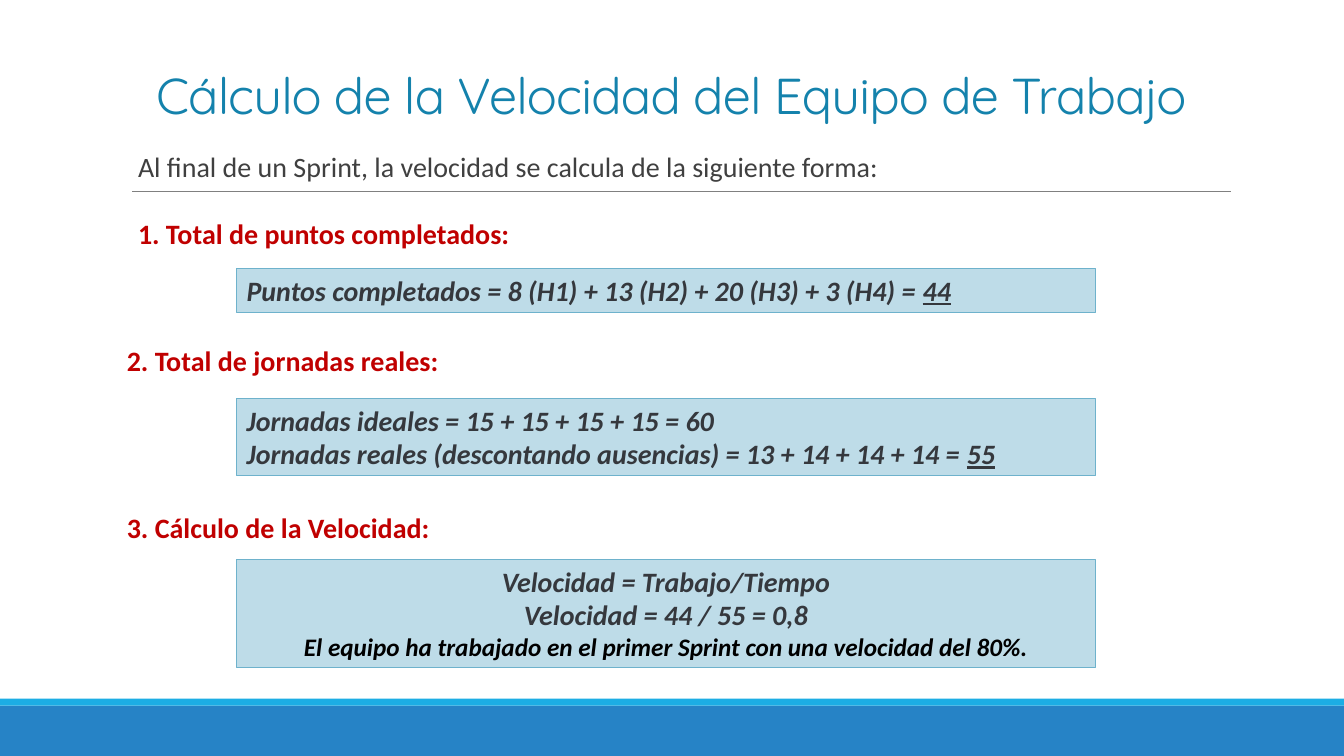
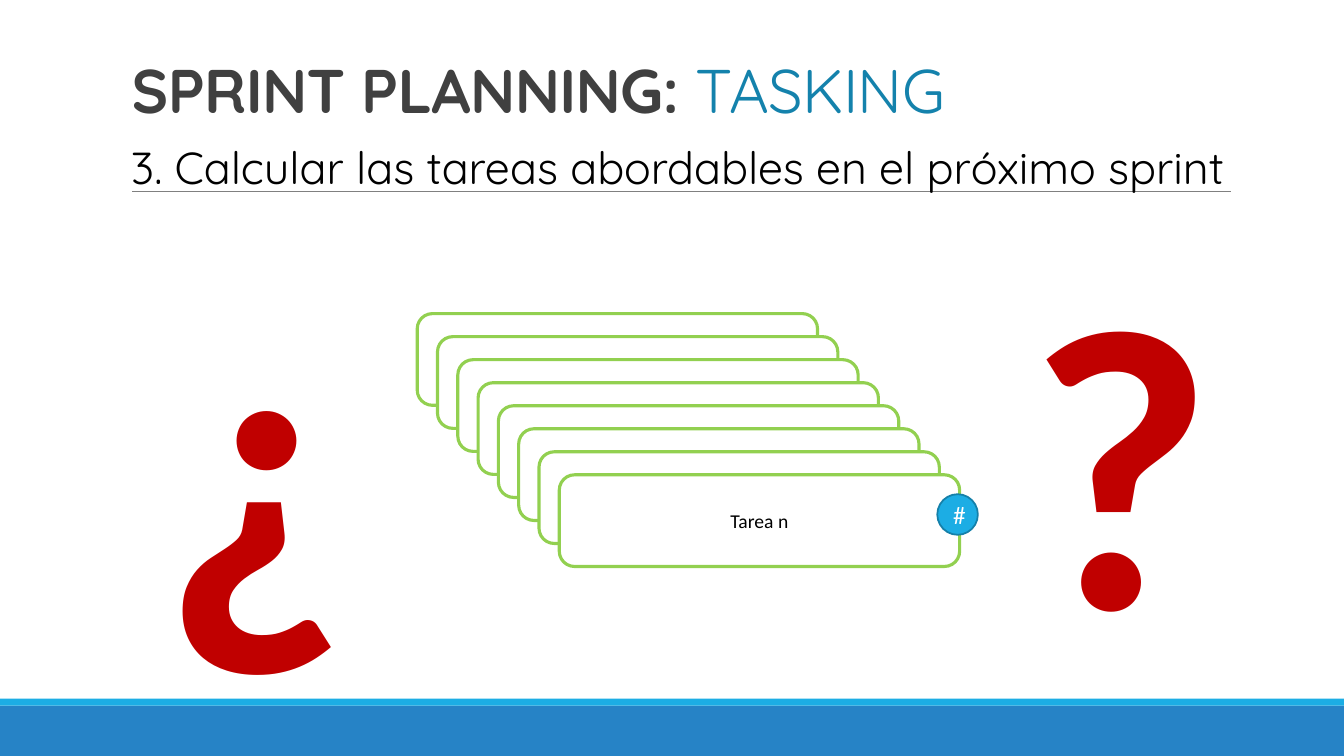
from dataclasses import dataclass

from lxml import etree
from pptx import Presentation
from pptx.dml.color import RGBColor
from pptx.enum.shapes import MSO_CONNECTOR, MSO_SHAPE
from pptx.enum.text import MSO_ANCHOR, MSO_AUTO_SIZE, PP_ALIGN
from pptx.oxml.ns import qn
from pptx.util import Pt


@dataclass(frozen=True)
class Theme:
    title_font: str = "Quicksand"
    body_font: str = "Calibri"
    band: str = "2683C6"
    accent: str = "1CADE4"
    badge_line: str = "1580A9"
    rule: str = "808080"
    title: str = "1482AC"
    text: str = "404040"
    emphasis: str = "C00000"
    formula: str = "35383D"
    formula_fill: str = "BEDCE8"
    formula_line: str = "6EB2CC"
    card_line: str = "92D050"
    black: str = "000000"
    white: str = "FFFFFF"
    banner_size: int = 44
    title_size: int = 36
    subtitle_size: int = 32
    body_size: int = 20
    note_size: int = 18
    card_size: int = 14
    mark_size: int = 287


THEME = Theme()


class SlideBuilder:
    def __init__(self, deck, theme):
        self.deck = deck
        self.theme = theme
        self.page = None

    def new_page(self):
        """Start a slide with the shared bands and rule."""
        theme = self.theme
        self.page = self.deck.slides.add_slide(self.deck.slide_layouts[6])
        self.shape(MSO_SHAPE.RECTANGLE, (0, 504, 960, 36), theme.band)
        self.shape(MSO_SHAPE.RECTANGLE, (0, 499, 960, 5), theme.accent)
        rule = self.page.shapes.add_connector(
            MSO_CONNECTOR.STRAIGHT, Pt(94.5), Pt(137), Pt(879), Pt(137))
        rule.line.color.rgb = RGBColor.from_string(theme.rule)
        rule.line.width = Pt(0.5)
        etree.SubElement(rule._element.spPr, qn("a:effectLst"))

    def shape(self, kind, area, fill, line=None, weight=0.75):
        shape = self.page.shapes.add_shape(kind, *map(Pt, area))
        shape.shadow.inherit = False
        shape.fill.solid()
        shape.fill.fore_color.rgb = RGBColor.from_string(fill)
        if line:
            shape.line.color.rgb = RGBColor.from_string(line)
            shape.line.width = Pt(weight)
        else:
            shape.line.fill.background()
        return shape

    def text_box(self, area, wrap=True, anchor=MSO_ANCHOR.TOP):
        box = self.page.shapes.add_textbox(*map(Pt, area))
        box.text_frame.word_wrap = wrap
        box.text_frame.vertical_anchor = anchor
        return box

    def put_text(self, shape, text, size, color, first=True, font=None,
                 bold=False, italic=False, align=PP_ALIGN.LEFT):
        """Fill the first paragraph of a shape, or add one more."""
        frame = shape.text_frame
        para = frame.paragraphs[0] if first else frame.add_paragraph()
        para.alignment = align
        para.font.name = font or self.theme.body_font
        para.font.size = Pt(size)
        para.font.bold = bold
        para.font.italic = italic
        para.font.color.rgb = RGBColor.from_string(color)
        para.add_run().text = text
        return para

    def title(self, area, text, size, color, bold=False, align=PP_ALIGN.LEFT):
        box = self.text_box(area, anchor=MSO_ANCHOR.BOTTOM)
        para = self.put_text(box, text, size, color, bold=bold, align=align,
                             font=self.theme.title_font)
        para.line_spacing = 0.85
        para._p.pPr.find(qn("a:defRPr")).set("spc", "-50")
        return para

    def heading(self, top, text):
        box = self.text_box((83.5, top, 700, 31.5))
        self.put_text(box, text, self.theme.body_size, self.theme.emphasis, bold=True)

    def formula_box(self, top, height, lines, result=None, align=PP_ALIGN.LEFT):
        """Draw a tinted box of formulas; the result is underlined at the end."""
        theme = self.theme
        box = self.shape(MSO_SHAPE.RECTANGLE, (169, top, 613.5, height),
                         theme.formula_fill, theme.formula_line)
        box.text_frame.word_wrap = True
        box.text_frame.vertical_anchor = MSO_ANCHOR.TOP
        for index, line in enumerate(lines):
            para = self.put_text(box, line, theme.body_size, theme.formula,
                                 first=index == 0, bold=True, italic=True, align=align)
        if result:
            span = para.add_run()
            span.text = result
            span.font.underline = True
        return box

    def big_mark(self, left, mark):
        box = self.text_box((left, 144.5, 149, 355), wrap=False)
        box.text_frame.auto_size = MSO_AUTO_SIZE.SHAPE_TO_FIT_TEXT
        self.put_text(box, mark, self.theme.mark_size, self.theme.emphasis, bold=True)

    def label(self, shape, text, size, color):
        shape.text_frame.vertical_anchor = MSO_ANCHOR.MIDDLE
        self.put_text(shape, text, size, color, align=PP_ALIGN.CENTER)

    def card_stack(self, count, text):
        """Draw overlapping cards, labelling only the front one."""
        for index in range(count):
            area = (298 + 14.5 * index, 224 + 16.45 * index, 286, 65.5)
            card = self.shape(MSO_SHAPE.ROUNDED_RECTANGLE, area,
                              self.theme.white, self.theme.card_line, 2.25)
        self.label(card, text, self.theme.card_size, self.theme.black)

    def badge(self, left, top, text):
        badge = self.shape(MSO_SHAPE.OVAL, (left, top, 29, 29),
                           self.theme.accent, self.theme.badge_line, 1.25)
        self.label(badge, text, self.theme.note_size, self.theme.white)


def velocity_slide(builder):
    theme = builder.theme
    builder.new_page()
    builder.title((83.5, 30, 792, 63), "Cálculo de la Velocidad del Equipo de Trabajo",
                  theme.title_size, theme.title, align=PP_ALIGN.CENTER)
    intro = builder.text_box((91.5, 103, 691, 80))
    builder.put_text(intro, "Al final de un Sprint, la velocidad se calcula de la siguiente forma:",
                     theme.body_size, theme.text)
    first_step = builder.put_text(intro, "1. Total de puntos completados:", theme.body_size,
                                  theme.emphasis, first=False, bold=True)
    first_step.space_before = Pt(24)
    builder.formula_box(191.5, 31.5,
                        ["Puntos completados = 8 (H1) + 13 (H2) + 20 (H3) + 3 (H4) = "], "44")
    builder.heading(242, "2. Total de jornadas reales:")
    builder.formula_box(284.5, 55.5, [
        "Jornadas ideales = 15 + 15 + 15 + 15 = 60",
        "Jornadas reales (descontando ausencias) = 13 + 14 + 14 + 14 = "], "55")
    builder.heading(361, "3. Cálculo de la Velocidad:")
    velocity = builder.formula_box(
        399.5, 77.5, ["Velocidad = Trabajo/Tiempo", "Velocidad = 44 / 55 = 0,8"],
        align=PP_ALIGN.CENTER)
    builder.put_text(velocity,
                     "El equipo ha trabajado en el primer Sprint con una velocidad del 80%.",
                     theme.note_size, theme.black, first=False, bold=True, italic=True,
                     align=PP_ALIGN.CENTER)


def tasking_slide(builder):
    theme = builder.theme
    builder.new_page()
    title = builder.title((87, 38, 792, 55.5), "SPRINT PLANNING: ",
                          theme.banner_size, theme.text, bold=True)
    topic = title.add_run()
    topic.text = "TASKING"
    topic.font.bold = False
    topic.font.color.rgb = RGBColor.from_string(theme.title)
    subtitle = builder.text_box((86.5, 96.5, 848, 46), wrap=False)
    builder.put_text(subtitle, "3. Calcular las tareas abordables en el próximo sprint",
                     theme.subtitle_size, theme.black, font=theme.title_font)
    builder.big_mark(108, "¿")
    builder.big_mark(727, "?")
    builder.card_stack(8, "Tarea n")
    builder.badge(669.5, 353, "#")


def main():
    deck = Presentation()
    deck.slide_width, deck.slide_height = Pt(960), Pt(540)
    builder = SlideBuilder(deck, THEME)
    velocity_slide(builder)
    tasking_slide(builder)
    deck.save("out.pptx")


if __name__ == "__main__":
    main()
